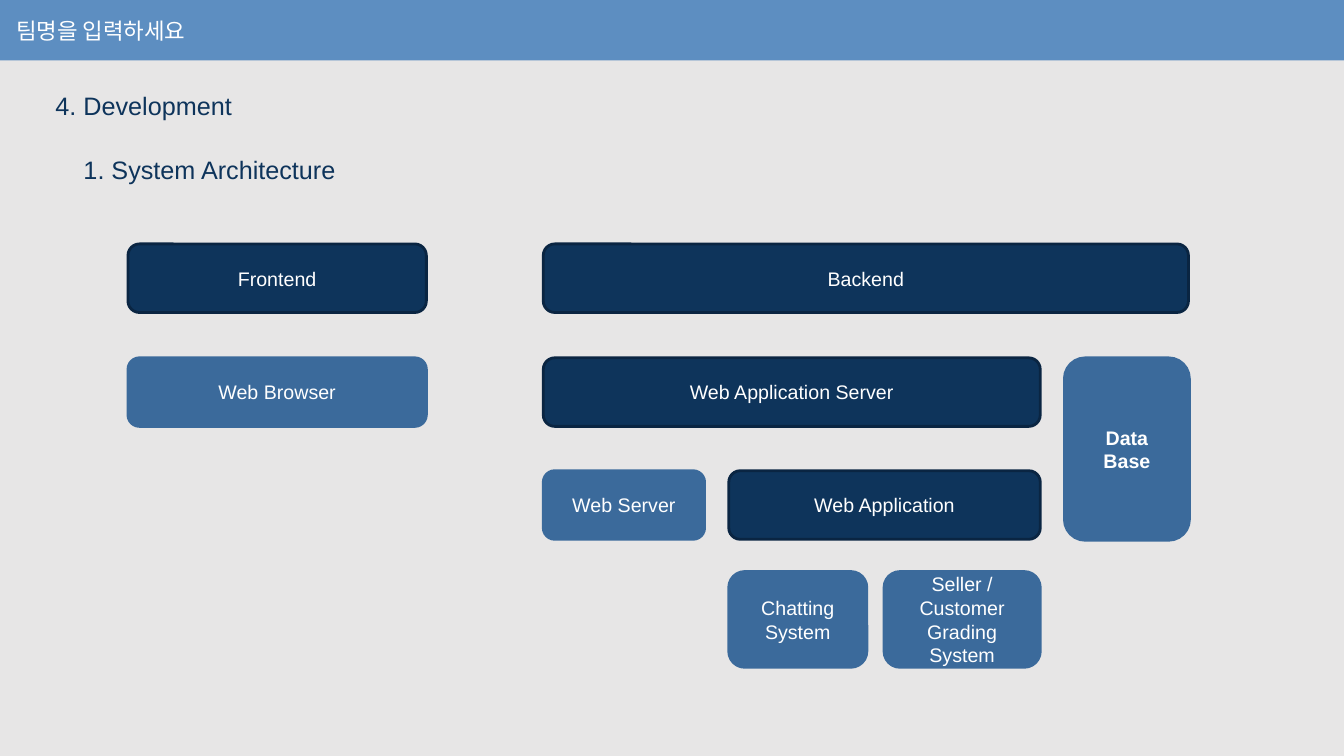
"""Build the system architecture slide."""
from pptx import Presentation
from pptx import util as u
from pptx.dml import color
from pptx.enum import shapes, text

PX = 9144
NAVY, NAVY_EDGE, STEEL, WHITE = "0E345B", "0A2542", "3B6A9B", "FFFFFF"


def rgb(value):
    return color.RGBColor.from_string(value)


def write(box, words, size, ink, align, anchor, bold=False):
    frame = box.text_frame
    frame.text = words
    frame.word_wrap = True
    frame.auto_size = text.MSO_AUTO_SIZE.NONE
    frame.vertical_anchor = anchor
    for para in frame.paragraphs:
        para.alignment = align
        para.font.name = "Arial"
        para.font.size = u.Pt(size)
        para.font.bold = bold
        para.font.color.rgb = rgb(ink)


LEFT, CENTER = text.PP_ALIGN.LEFT, text.PP_ALIGN.CENTER
TOP, MIDDLE = text.MSO_ANCHOR.TOP, text.MSO_ANCHOR.MIDDLE

deck = Presentation()
deck.slide_width, deck.slide_height = u.Inches(13.333), u.Inches(7.5)
page = deck.slides.add_slide(deck.slide_layouts[5])
page.background.fill.solid()
page.background.fill.fore_color.rgb = rgb("E7E6E6")

banner = page.shapes.add_shape(
    shapes.MSO_SHAPE.RECTANGLE, 0, 0, deck.slide_width, 60 * PX)
banner.shadow.inherit = False
banner.fill.solid()
banner.fill.fore_color.rgb = rgb("5D8EC1")
banner.line.fill.background()
write(banner, "팀명을 입력하세요", 16, WHITE, LEFT, MIDDLE)
banner.text_frame.margin_left = 16 * PX

title = page.shapes.title
title.left, title.top, title.width, title.height = 45 * PX, 85 * PX, 201 * PX, 40 * PX
write(title, "4. Development", 18, NAVY, LEFT, TOP)

subtitle = page.shapes.add_textbox(73 * PX, 148 * PX, 408 * PX, 40 * PX)
write(subtitle, "1. System Architecture", 18, NAVY, LEFT, TOP)

ROW_1, ROW_2, ROW_3, ROW_4 = 242, 355, 467, 567
FRONT, BACK, APP = 127, 539, 723
BAR, TALL, SYSTEM = 68, 181, 95
blocks = [
    ("Frontend", FRONT, ROW_1, 296, BAR, NAVY),
    ("Backend", BACK, ROW_1, 640, BAR, NAVY),
    ("Web Browser", FRONT, ROW_2, 296, BAR, STEEL),
    ("Web Application Server", BACK, ROW_2, 493, BAR, NAVY),
    ("Web Server", BACK, ROW_3, 160, BAR, STEEL),
    ("Web Application", APP, ROW_3, 309, BAR, NAVY),
    ("Data Base", 1056, ROW_2, 124, TALL, STEEL),
    ("Seller / Customer\nGrading System", 877, ROW_4, 155, SYSTEM, STEEL),
    ("Chatting\nSystem", APP, ROW_4, 137, SYSTEM, STEEL),
]
for label, left, top, width, height, fill in blocks:
    block = page.shapes.add_shape(
        shapes.MSO_SHAPE.ROUNDED_RECTANGLE,
        left * PX, top * PX, width * PX, height * PX)
    block.shadow.inherit = False
    block.fill.solid()
    block.fill.fore_color.rgb = rgb(fill)
    block.line.color.rgb = rgb(NAVY_EDGE if fill == NAVY else STEEL)
    block.line.width = u.Pt(2)
    write(block, label, 14, WHITE, CENTER, MIDDLE, bold=label == "Data Base")

deck.save("out.pptx")
